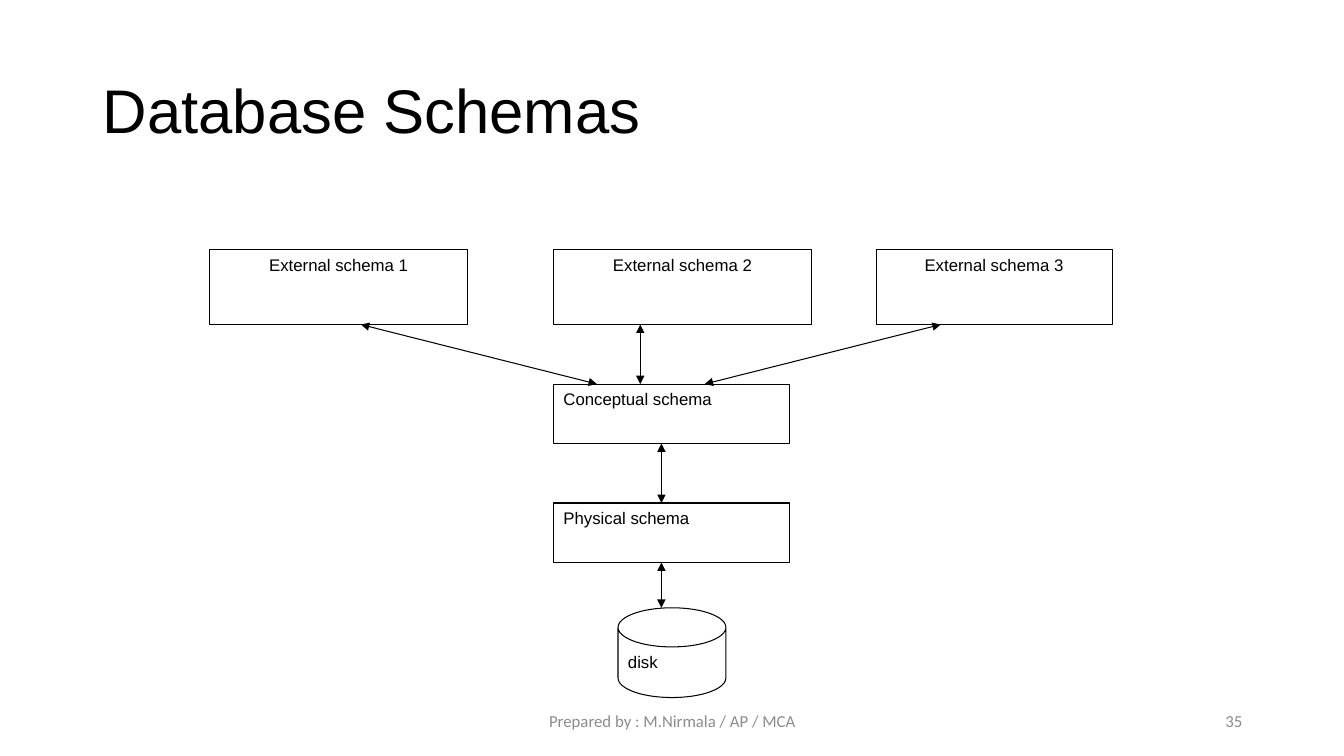
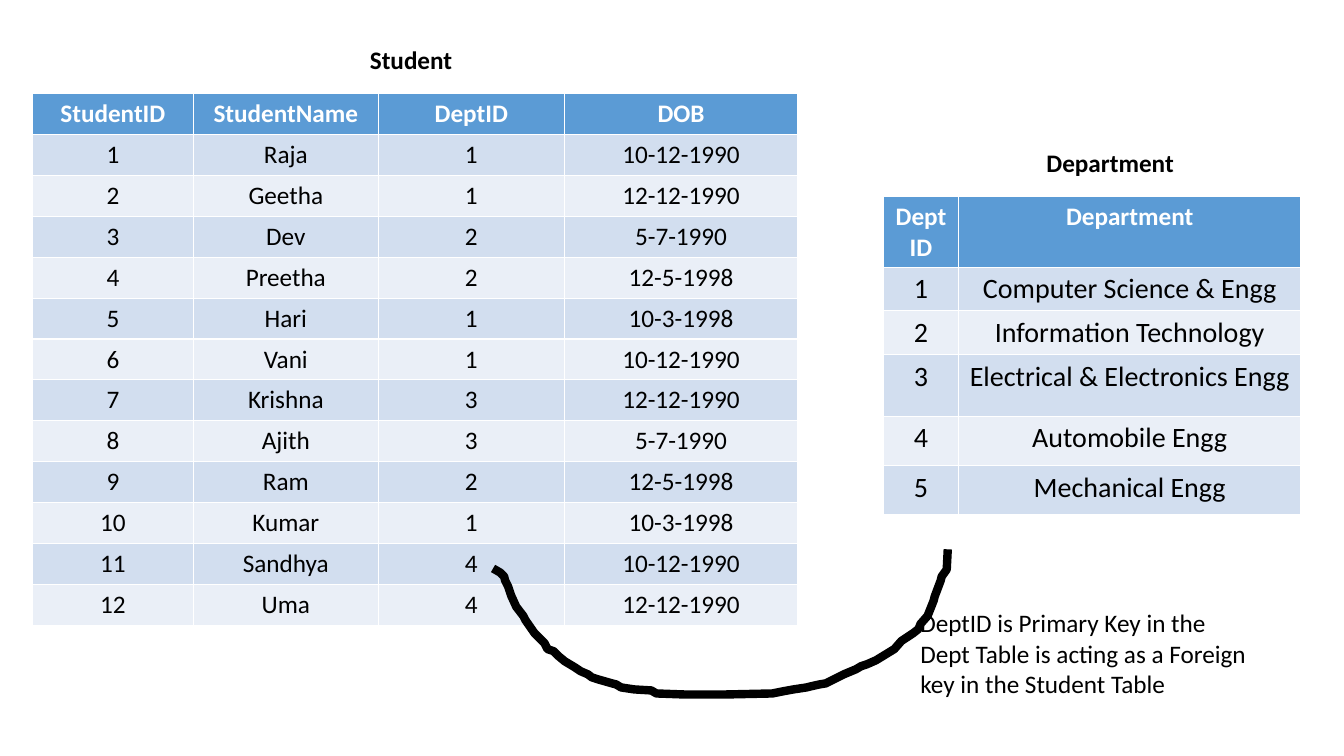
from dataclasses import dataclass

from lxml.etree import SubElement
from pptx import Presentation
from pptx.dml.color import RGBColor as RGB
from pptx.enum.shapes import MSO_CONNECTOR as CONN, MSO_SHAPE as SHAPE
from pptx.enum.text import MSO_ANCHOR as ANCHOR, PP_ALIGN as ALIGN
from pptx.oxml.ns import qn
from pptx.util import Inches, Pt


@dataclass(frozen=True)
class Theme:
    """Colours, fonts and type sizes shared by the slides."""
    ink: RGB = RGB(0x00, 0x00, 0x00)
    paper: RGB = RGB(0xFF, 0xFF, 0xFF)
    muted: RGB = RGB(0x8C, 0x8C, 0x8C)
    header: RGB = RGB(0x5B, 0x9B, 0xD5)
    bands: tuple = (RGB(0xD2, 0xDE, 0xEF), RGB(0xEA, 0xEF, 0xF7))
    display: str = "Arial"
    body: str = "Calibri"
    title: int = 44
    small: int = 12
    text: int = 18
    large: int = 20
    hairline: float = 0.75
    stroke: int = 6


THEME = Theme()

STUDENTS = [
    ("StudentID", "StudentName", "DeptID", "DOB"),
    ("1", "Raja", "1", "10-12-1990"),
    ("2", "Geetha", "1", "12-12-1990"),
    ("3", "Dev", "2", "5-7-1990"),
    ("4", "Preetha", "2", "12-5-1998"),
    ("5", "Hari", "1", "10-3-1998"),
    ("6", "Vani", "1", "10-12-1990"),
    ("7", "Krishna", "3", "12-12-1990"),
    ("8", "Ajith", "3", "5-7-1990"),
    ("9", "Ram", "2", "12-5-1998"),
    ("10", "Kumar", "1", "10-3-1998"),
    ("11", "Sandhya", "4", "10-12-1990"),
    ("12", "Uma", "4", "12-12-1990"),
]

DEPARTMENTS = [
    ("DeptID", "Department"),
    ("1", "Computer Science & Engg"),
    ("2", "Information Technology"),
    ("3", "Electrical & Electronics Engg"),
    ("4", "Automobile Engg"),
    ("5", "Mechanical Engg"),
]

KEY_CURVE = [
    (0, 19), (7, 23), (11, 27), (12, 31), (15, 37), (18, 46), (23, 57),
    (30, 66), (32, 70), (41, 83), (51, 93), (54, 99), (60, 101), (65, 106),
    (71, 111), (81, 117), (87, 121), (94, 124), (98, 127), (104, 129),
    (111, 131), (118, 133), (122, 134), (127, 137), (140, 139), (157, 140),
    (162, 143), (190, 144), (230, 144), (277, 143), (287, 141), (298, 139),
    (311, 137), (315, 136), (324, 134), (330, 133), (338, 129), (344, 126),
    (348, 124), (360, 119), (365, 116), (371, 114), (380, 110), (398, 99),
    (405, 91), (417, 83), (422, 79), (424, 74), (431, 66), (437, 51),
    (438, 47), (444, 31), (445, 27), (450, 20), (451, 0),
]


def write(tf, text, size, font=THEME.body, color=THEME.ink, bold=False,
          align=ALIGN.LEFT, anchor=ANCHOR.TOP):
    """Fill a text frame with one formatted paragraph."""
    tf.text = text
    tf.word_wrap = True
    tf.vertical_anchor = anchor
    p = tf.paragraphs[0]
    p.alignment = align
    f = p.runs[0].font
    f.name, f.size, f.bold = font, Pt(size), bold
    f.color.rgb = color
    return p


def add_text(s, box, text, size, **style):
    """Add a text box."""
    sp = s.shapes.add_textbox(*map(Inches, box))
    write(sp.text_frame, text, size, **style)


def add_title(s, box, text):
    """Move the title placeholder to the box and format it."""
    sp = s.shapes.title
    sp.left, sp.top, sp.width, sp.height = map(Inches, box)
    p = write(sp.text_frame, text, THEME.title, font=THEME.display,
              anchor=ANCHOR.MIDDLE)
    p.line_spacing = 0.9


def add_footer(s, box, text, number):
    """Place the centred credit and the right-aligned slide number."""
    x, y, w, h = box
    style = dict(size=THEME.small, color=THEME.muted, anchor=ANCHOR.MIDDLE)
    add_text(s, (x + 3.5, y, 4.5, h), text, align=ALIGN.CENTER, **style)
    add_text(s, (x + w - 3, y, 3, h), number, align=ALIGN.RIGHT, **style)


def add_node(s, kind, box, text, align=ALIGN.LEFT):
    """Add an outlined diagram shape with its label."""
    sp = s.shapes.add_shape(kind, *map(Inches, box))
    sp.shadow.inherit = False
    sp.fill.solid()
    sp.fill.fore_color.rgb = THEME.paper
    sp.line.color.rgb = THEME.ink
    sp.line.width = Pt(THEME.hairline)
    write(sp.text_frame, text, THEME.small, font=THEME.display, align=align)
    return sp


def add_arrow(s, x1, y1, x2, y2):
    """Add a double-headed straight arrow."""
    cx = s.shapes.add_connector(CONN.STRAIGHT, *map(Inches, (x1, y1, x2, y2)))
    cx.line.color.rgb = THEME.ink
    cx.line.width = Pt(THEME.hairline)
    spPr = cx._element.spPr
    ln = spPr.find(qn("a:ln"))
    for end in ("a:headEnd", "a:tailEnd"):
        SubElement(ln, qn(end), type="triangle")
    SubElement(spPr, qn("a:effectLst"))


def add_schema_diagram(s, box):
    """Draw the schema levels down to the disk, from the box's top left."""
    x, y = box[:2]
    externals = ((0, 2.56), (3.41, 2.56), (6.61, 2.34))
    for i, (dx, w) in enumerate(externals, 1):
        add_node(s, SHAPE.RECTANGLE, (x + dx, y, w, 0.74),
                 f"External schema {i}", ALIGN.CENTER)
    for dy, name in ((1.33, "Conceptual schema"), (2.51, "Physical schema")):
        add_node(s, SHAPE.RECTANGLE, (x + 3.41, y + dy, 2.34, 0.59), name)
    disk = add_node(s, SHAPE.CAN, (x + 4.05, y + 3.55, 1.07, 0.89), "disk")
    disk.adjustments[0] = 0.436

    for start, end in ((1.5, 3.84), (4.27, 4.27), (7.25, 4.91)):
        add_arrow(s, x + start, y + 0.74, x + end, y + 1.33)
    for top, bottom in ((1.92, 2.51), (3.1, 3.55)):
        add_arrow(s, x + 4.48, y + top, x + 4.48, y + bottom)


def add_data_table(s, pos, rows, widths, heights, size):
    """Add a banded table with a header row."""
    box = (*pos, sum(widths), sum(heights))
    table = s.shapes.add_table(len(rows), len(widths), *map(Inches, box)).table
    for col, w in zip(table.columns, widths):
        col.width = Inches(w)
    for r, (values, h) in enumerate(zip(rows, heights)):
        table.rows[r].height = Inches(h)
        head = r == 0
        for c, value in enumerate(values):
            cell = table.cell(r, c)
            cell.fill.solid()
            cell.fill.fore_color.rgb = (
                THEME.header if head else THEME.bands[(r - 1) % 2])
            write(cell.text_frame, value, THEME.text if head else size,
                  color=THEME.paper if head else THEME.ink, bold=head,
                  align=ALIGN.CENTER)


def add_student_region(s, box):
    """Place the student caption and table."""
    x, y = box[:2]
    add_data_table(s, (x, y + 0.54), STUDENTS, (1.6, 1.83, 1.85, 2.31),
                   [0.4] * len(STUDENTS), THEME.text)
    add_text(s, (x + 3.25, y, 1.09, 0.4), "Student", THEME.text, bold=True)


def add_department_region(s, box):
    """Place the department caption and table."""
    x, y = box[:2]
    add_data_table(s, (x, y + 0.54), DEPARTMENTS, (0.75, 3.39),
                   (0.42, 0.33, 0.43, 0.61, 0.49, 0.49), THEME.large)
    add_text(s, (x + 1.52, y, 1.55, 0.4), "Department", THEME.text, bold=True)


def add_key_link(s, box):
    """Draw the hand-drawn key link and its explanation."""
    x, y = box[:2]
    fb = s.shapes.build_freeform(*KEY_CURVE[0], scale=Inches(0.01))
    fb.add_line_segments(KEY_CURVE[1:], close=False)
    sp = fb.convert_to_shape(Inches(x), Inches(y))
    sp.shadow.inherit = False
    sp.fill.background()
    sp.line.color.rgb = THEME.ink
    sp.line.width = Pt(THEME.stroke)
    add_text(s, (x + 4.14, y + 0.53, 3.56, 1.01),
             "DeptID is Primary Key in the Dept Table is acting as a Foreign "
             "key in the Student Table", THEME.text)


def schema_slide(prs):
    """Build the database schemas slide."""
    s = prs.slides.add_slide(prs.slide_layouts[5])
    add_title(s, (0.92, 0.4, 11.5, 1.45), "Database Schemas")
    add_schema_diagram(s, (2.08, 2.48, 8.95, 4.44))
    add_footer(s, (0.92, 6.95, 11.5, 0.4),
               "Prepared by : M.Nirmala / AP / MCA", "35")


def keys_slide(prs):
    """Build the primary and foreign key slide."""
    s = prs.slides.add_slide(prs.slide_layouts[6])
    add_student_region(s, (0.32, 0.39, 7.59, 5.74))
    add_department_region(s, (8.76, 1.41, 4.14, 3.69))
    add_key_link(s, (4.89, 5.45, 7.7, 1.54))


def main():
    """Build and save the presentation."""
    prs = Presentation()
    prs.slide_width, prs.slide_height = Inches(13.33), Inches(7.5)
    schema_slide(prs)
    keys_slide(prs)
    prs.save("out.pptx")


if __name__ == "__main__":
    main()
